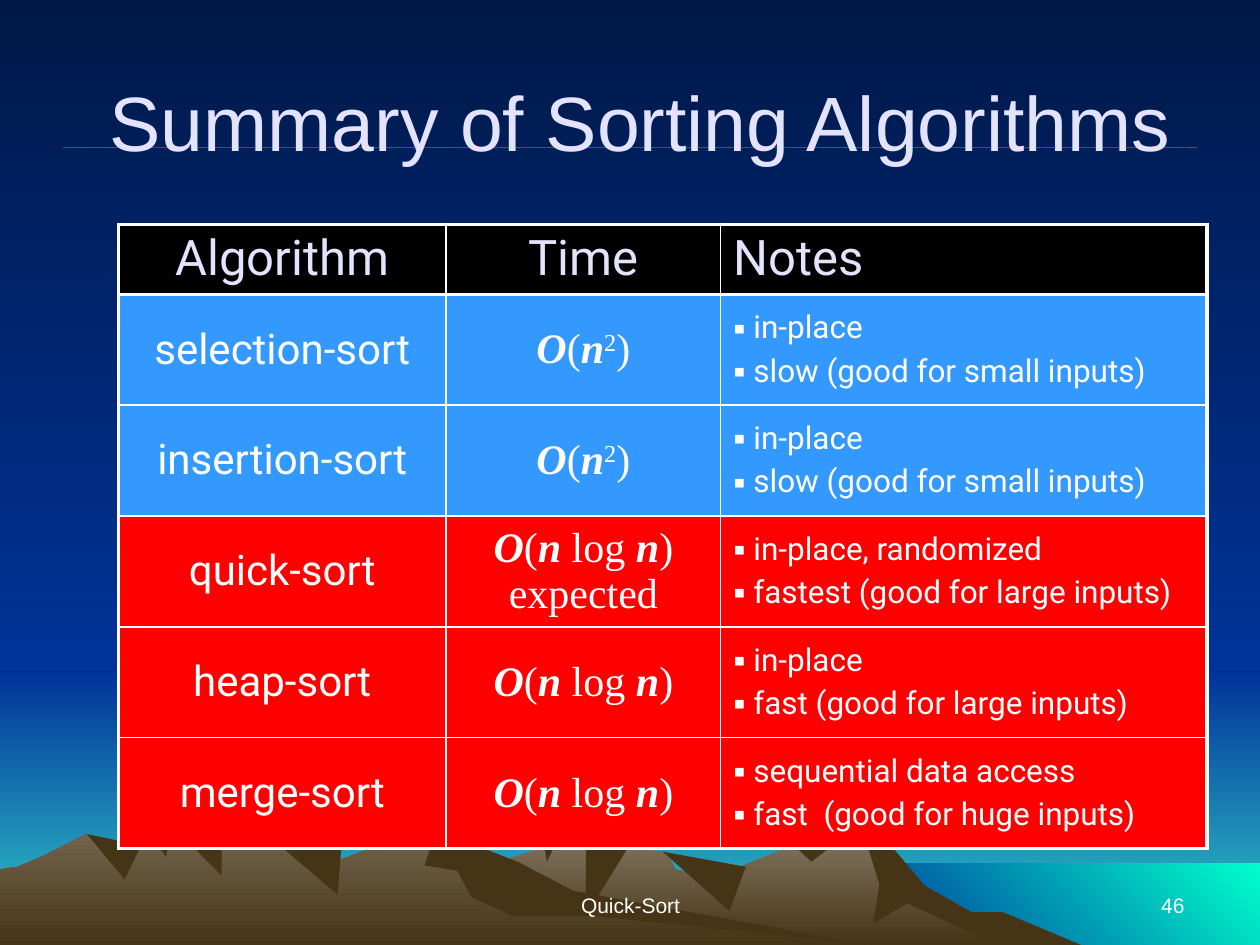
import pptx
import pptx.util
import pptx.dml.color
import pptx.enum.shapes
import pptx.enum.text
import pptx.oxml
import pptx.oxml.ns

PX = 9144
WIDE, TALL = 1000, 750
HUE = {
    "night": "001847", "navy": "003399", "teal": "33CCCC", "mint": "00FFCC",
    "earth": "463416", "stone": "847864", "slate": "73664F",
    "rule": "EF0129", "pale": "E3E3FF", "white": "FFFFFF", "black": "000000",
    "blue": "3399FF", "red": "FF0000",
}
SANS, SERIF, BODY = "Arial", "Times New Roman", "Roboto"

DOWN, RISE = 270, 45
SKY = ("night", "navy", DOWN)
PANELS = [
    (("navy", "teal", DOWN), 0, 533),
    (SKY, 0, 0),
    (("navy", "mint", RISE), 683, 685),
]
HORIZON = 533

PEAKS = [(258, 750), (327, 709), (395, 684), (438, 671), (471, 658), (486, 673),
         (529, 676), (536, 690), (566, 697), (629, 671), (656, 671), (685, 660),
         (702, 671), (723, 698), (764, 723), (821, 750)]
HILLS = [(0, 690), (14, 688), (35, 679), (68, 662), (94, 671), (160, 671),
         (202, 658), (223, 663), (236, 681), (271, 682), (318, 664), (354, 665),
         (432, 712), (690, 750)]
EAST = [(685, 660), (707, 671), (734, 703), (771, 724), (796, 724), (858, 750),
        (792, 750), (720, 717), (693, 733), (698, 702)]
WEST = [(344, 665), (370, 668), (411, 684), (455, 707), (690, 750), (472, 727),
        (407, 727), (374, 712), (363, 691), (337, 687)]
PEAK_CUTS = [(465, 658, 32, 69, 0), (526, 676, 66, 47, 0.8),
             (630, 671, 27, 13, 0.5), (432, 670, 7, 14, 0.3)]
HILL_CUTS = [(208, 659, 63, 51, 0.95), (318, 664, 12, 11, 1),
             (148, 667, 28, 28, 1), (123, 669, 10, 11, 0.9), (69, 662, 43, 36, 0.7)]

TITLE = "Summary of Sorting Algorithms"
FOOT = [("Quick-Sort", 342, 317, "CENTER"), ("46", 717, 233, "RIGHT")]
HEAD = ["Algorithm", "Time", "Notes"]
SQUARE = ["O", "(", "n", "2", ")"]
NLOG = ["O", "(", "n", " log ", "n", ")"]
SMALL = [" in-place", " slow (good for small inputs)"]
ROWS = [
    ("selection-sort", SQUARE, "blue", SMALL),
    ("insertion-sort", SQUARE, "blue", SMALL),
    ("quick-sort", NLOG + ["\n", "expected"], "red",
     [" in-place, randomized", " fastest (good for large inputs)"]),
    ("heap-sort", NLOG, "red", [" in-place", " fast (good for large inputs)"]),
    ("merge-sort", NLOG, "red", [" sequential data access", " fast  (good for huge inputs)"]),
]
COLS = [260, 218, 386]
HIGH = [55] + [88] * len(ROWS)

Pt = pptx.util.Pt
ALIGN = pptx.enum.text.PP_ALIGN
ANCHOR = pptx.enum.text.MSO_ANCHOR


def rgb(name):
    return pptx.dml.color.RGBColor.from_string(HUE[name])


def xml(tag, inner="", attrs=""):
    space = pptx.oxml.ns.nsdecls("a")
    return pptx.oxml.parse_xml(f"<a:{tag} {space} {attrs}>{inner}</a:{tag}>")


def solid(name):
    return f'<a:srgbClr val="{HUE[name]}"/>'


def emu(*sizes):
    return [size * PX for size in sizes]


def blend(fill, start, end, angle):
    fill.gradient()
    fill.gradient_angle = angle
    for stop, name in zip(fill.gradient_stops, (start, end)):
        stop.color.rgb = rgb(name)


def paint(shape, look):
    shape.shadow.inherit = False
    shape.line.fill.background()
    if isinstance(look, str):
        shape.fill.solid()
        shape.fill.fore_color.rgb = rgb(look)
    else:
        blend(shape.fill, *look)


def trace(shapes, look, points):
    pen = shapes.build_freeform(*points[0], scale=PX)
    pen.add_line_segments(points[1:], close=True)
    paint(pen.convert_to_shape(), look)


def ground(line):
    return line + [(line[-1][0], TALL), (line[0][0], TALL)]


def cut(left, top, wide, tall, lean):
    tip = (round(left + lean * wide), top + tall)
    return [(left, top), (left + wide, round(top + tall / 4)), tip]


def scene(shapes):
    block = pptx.enum.shapes.MSO_SHAPE.RECTANGLE
    for look, left, top in PANELS:
        base = HORIZON if look == SKY else TALL
        box = emu(left, top, WIDE - left, base - top)
        paint(shapes.add_shape(block, *box), look)
    ranges = [(PEAKS, "stone", EAST, PEAK_CUTS), (HILLS, "slate", WEST, HILL_CUTS)]
    for line, tone, flank, cuts in ranges:
        trace(shapes, (tone, "earth", DOWN), ground(line))
        for shade in [flank] + [cut(*size) for size in cuts]:
            trace(shapes, "earth", shade)


def style(par, size, face, hue, align="LEFT"):
    par.alignment = ALIGN[align]
    for run in par.runs:
        font = run.font
        font.size, font.name, font.bold = Pt(size), face, False
        font.color.rgb = rgb(hue)


def frame(cell, row, col):
    thick = {"L": col == 0, "R": col == len(COLS) - 1,
             "T": row < 2, "B": row in (0, len(ROWS))}
    props = cell._tc.get_or_add_tcPr()
    for side, bold in thick.items():
        width = Pt(2.25 if bold else 1)
        inner = f"<a:solidFill>{solid('white')}</a:solidFill>"
        props.append(xml("ln" + side, inner, f'w="{width}"'))


def label(body, text, size, hue, align):
    body.text = text
    style(body.paragraphs[0], size, BODY, hue, align)


def math(body, parts):
    par = body.paragraphs[0]
    for part in parts:
        if part == "\n":
            par.add_line_break()
        else:
            par.add_run().text = part
    style(par, 24, SERIF, "white", "CENTER")
    for run in par.runs:
        run.font.bold = run.font.italic = run.text in ("O", "n")
        if run.text == "2":
            run._r.get_or_add_rPr().set("baseline", "30000")


def notes(body, lines):
    body.text = "\n".join(lines)
    for i, par in enumerate(body.paragraphs):
        if i:
            par.space_before = Pt(3.6)
        props = par._p.get_or_add_pPr()
        props.append(xml("buClr", solid("white")))
        props.append(xml("buSzPct", attrs='val="110000"'))
        props.append(xml("buFont", attrs=f'typeface="{SANS}"'))
        props.append(xml("buChar", attrs='char="▪"'))
        style(par, 18, BODY, "white")


def table(shapes):
    box = emu(94, 178, sum(COLS), sum(HIGH))
    grid = shapes.add_table(len(HIGH), len(COLS), *box).table
    grid.first_row = grid.horz_banding = False
    for col, wide in zip(grid.columns, COLS):
        col.width = wide * PX
    for row, tall in zip(grid.rows, HIGH):
        row.height = tall * PX
    fills = ["black"] + [row[2] for row in ROWS]
    for r, hue in enumerate(fills):
        for c in range(len(COLS)):
            cell = grid.cell(r, c)
            frame(cell, r, c)
            cell.fill.solid()
            cell.fill.fore_color.rgb = rgb(hue)
            cell.vertical_anchor = ANCHOR.MIDDLE
    for c, (text, align) in enumerate(zip(HEAD, ["CENTER", "CENTER", "LEFT"])):
        label(grid.cell(0, c).text_frame, text, 28, "pale", align)
    for r, (name, time, hue, lines) in enumerate(ROWS, 1):
        label(grid.cell(r, 0).text_frame, name, 24, "white", "CENTER")
        math(grid.cell(r, 1).text_frame, time)
        notes(grid.cell(r, 2).text_frame, lines)


def rule(shapes):
    kind = pptx.enum.shapes.MSO_CONNECTOR.STRAIGHT
    line = shapes.add_connector(kind, *emu(50, 117, 950, 117))
    line.line.fill.solid()
    line.line.fill.fore_color.rgb = rgb("rule")
    line.line.width = Pt(1)
    line.element.spPr.append(xml("effectLst"))


def foot(shapes):
    for text, left, wide, align in FOOT:
        body = shapes.add_textbox(*emu(left, 683, wide, 50)).text_frame
        body.word_wrap, body.vertical_anchor = True, ANCHOR.BOTTOM
        body.text = text
        style(body.paragraphs[0], 12, SANS, "white", align)


def head(title):
    title.left, title.top, title.width, title.height = emu(67, 33, 883, 125)
    body = title.text_frame
    body.text, body.vertical_anchor = TITLE, ANCHOR.MIDDLE
    style(body.paragraphs[0], 44, SANS, "pale", "CENTER")
    title.element.getparent().append(title.element)


def main():
    deck = pptx.Presentation()
    deck.slide_width, deck.slide_height = emu(WIDE, TALL)
    slide = deck.slides.add_slide(deck.slide_layouts[5])
    blend(slide.background.fill, *SKY)
    for part in (scene, rule, foot):
        part(slide.shapes)
    head(slide.shapes.title)
    table(slide.shapes)
    deck.save("out.pptx")


if __name__ == "__main__":
    main()
